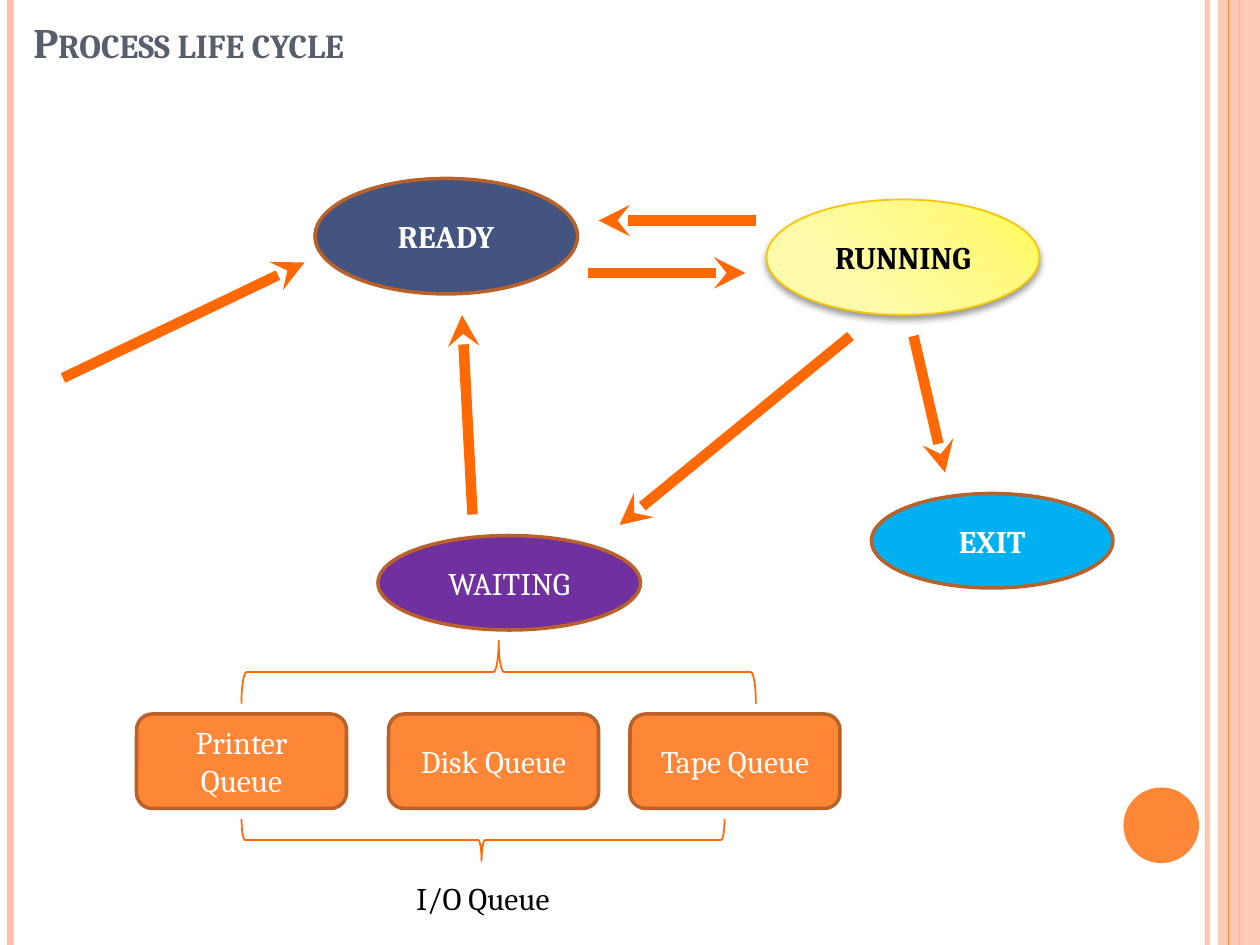
import pptx
import pptx.util
import pptx.dml.color
import pptx.enum.shapes
import pptx.enum.text
import pptx.oxml
import pptx.oxml.ns
import lxml.etree

Pt = pptx.util.Pt
RGB = pptx.dml.color.RGBColor.from_string
SHAPE = pptx.enum.shapes.MSO_SHAPE
ANCHOR = pptx.enum.text.MSO_ANCHOR
ALIGN = pptx.enum.text.PP_ALIGN
qn = pptx.oxml.ns.qn

C = {
    "peach": "FEC2AC", "orange": "FE8637", "arrow": "FF6803", "rust": "B96128",
    "title": "575F6D", "navy": "42547F", "purple": "7030A0", "cyan": "00B0F0",
    "gold": "FAC700", "yellow": "FFFA7D", "white": "FFFFFF", "black": "000000",
}

prs = pptx.Presentation()
prs.slide_width = pptx.util.Inches(10)
prs.slide_height = pptx.util.Inches(7.5)
U = prs.slide_width // 120
ROWS = 90
s = prs.slides.add_slide(prs.slide_layouts[6])


def add_shape(kind, box, fill=None, line=None, width=2, text="", color="white", bold=False):
    sp = s.shapes.add_shape(kind, *[int(v * U) for v in box])
    sp.shadow.inherit = False
    if fill:
        sp.fill.solid()
        sp.fill.fore_color.rgb = RGB(C[fill])
    else:
        sp.fill.background()
    if line:
        sp.line.color.rgb = RGB(C[line])
        sp.line.width = Pt(width)
    else:
        sp.line.fill.background()
    if text:
        tf = sp.text_frame
        tf.word_wrap = True
        tf.vertical_anchor = ANCHOR.MIDDLE
        p = tf.paragraphs[0]
        p.alignment = ALIGN.CENTER
        r = p.add_run()
        r.text = text
        r.font.name = "Cambria"
        r.font.size = Pt(18)
        r.font.bold = bold
        r.font.color.rgb = RGB(C[color])
    return sp


def add_line(x1, y1, x2, y2, color, width):
    ln = s.shapes.add_connector(
        pptx.enum.shapes.MSO_CONNECTOR.STRAIGHT, *[int(v * U) for v in (x1, y1, x2, y2)])
    ln.line.color.rgb = RGB(C[color])
    ln.line.width = Pt(width)
    lxml.etree.SubElement(ln._element.spPr, qn("a:effectLst"))
    return ln


outer = add_line(115, 0, 115, ROWS, "peach", 3)
add_line(1, 0, 1, ROWS, "peach", 4.5)
add_line(118, 0, 118, ROWS, "orange", 1.5)
band = add_shape(SHAPE.RECTANGLE, (116, 0, 4, ROWS), "peach")
add_line(117, 0, 117, ROWS, "orange", 0.75)
add_shape(SHAPE.OVAL, (107, 75, 7.2, 7.2), "orange")
for sp, alpha in [(outer, 93), (band, 87)]:
    clr = next(sp._element.spPr.iter(qn("a:srgbClr")))
    lxml.etree.SubElement(clr, qn("a:alpha")).set("val", str(alpha * 1000))

tf = s.shapes.add_textbox(2 * U, 2 * U, 102 * U, 5 * U).text_frame
tf.word_wrap = True
tf.vertical_anchor = ANCHOR.BOTTOM
r = tf.paragraphs[0].add_run()
r.text = "Process life cycle"
r.font.name = "Cambria"
r.font.size = Pt(24)
r.font.bold = True
r.font.color.rgb = RGB(C["title"])
r._r.get_or_add_rPr().set("cap", "small")

for text, box, fill, line, width, color, bold in [
    ("READY", (30, 17, 25, 11), "navy", "rust", 2, "white", True),
    ("RUNNING", (73, 19, 26, 11), "yellow", "gold", 1, "black", True),
    ("EXIT", (83, 47, 23, 9), "cyan", "rust", 2, "white", True),
    ("WAITING", (36, 51, 25, 9), "purple", "rust", 2, "white", False),
]:
    sp = add_shape(SHAPE.OVAL, box, fill, line, width, text, color, bold)
    if text == "RUNNING":
        running = sp

NS = 'xmlns:a="http://schemas.openxmlformats.org/drawingml/2006/main"'
stops = "".join(
    f'<a:gs pos="{pos * 1000}"><a:srgbClr val="{c}"/></a:gs>'
    for pos, c in [(0, "FFFBB2"), (30, "FFFAA9"), (75, C["yellow"]), (100, "FFFE4B")])
spPr = running._element.spPr
spPr.replace(spPr.find(qn("a:solidFill")), pptx.oxml.parse_xml(
    f'<a:gradFill {NS}><a:gsLst>{stops}</a:gsLst><a:path path="circle">'
    '<a:fillToRect l="0" t="100000" r="100000" b="0"/></a:path></a:gradFill>'))
spPr.replace(spPr.find(qn("a:effectLst")), pptx.oxml.parse_xml(
    f'<a:effectLst {NS}><a:outerShdw blurRad="{Pt(4)}" dist="{Pt(2)}" dir="5400000" '
    f'rotWithShape="0"><a:srgbClr val="{C["black"]}"><a:alpha val="40000"/></a:srgbClr>'
    '</a:outerShdw></a:effectLst>'))

for text, x in [("Printer Queue", 13), ("Disk Queue", 37), ("Tape Queue", 60)]:
    add_shape(SHAPE.ROUNDED_RECTANGLE, (x, 68, 20, 9), "orange", "rust", text=text)

for x, y, w, h, mid, flip in [(23, 61, 49, 6, 0.5, True), (23, 78, 46, 4, 0.503, False)]:
    sp = add_shape(SHAPE.RIGHT_BRACE, (x + (w - h) / 2, y + (h - w) / 2, h, w),
                   line="arrow", width=1)
    sp.adjustments[0] = 0.083
    sp.adjustments[1] = mid
    sp.rotation = 90
    if flip:
        sp._element.spPr.find(qn("a:xfrm")).set("flipH", "1")

for ends in [
    (6, 36, 29, 25),
    (72, 21, 57, 21),
    (56, 26, 71, 26),
    (81, 32, 59, 50),
    (87, 32, 90, 45),
    (45, 49, 44, 30),
]:
    ln = add_line(*ends, "arrow", 6)
    lxml.etree.SubElement(ln.line._get_or_add_ln(), qn("a:tailEnd")).set("type", "stealth")

add_shape(SHAPE.ROUNDED_RECTANGLE, (26, 83, 40, 5), "white", "white",
          text="I/O Queue", color="black")

prs.save("out.pptx")
